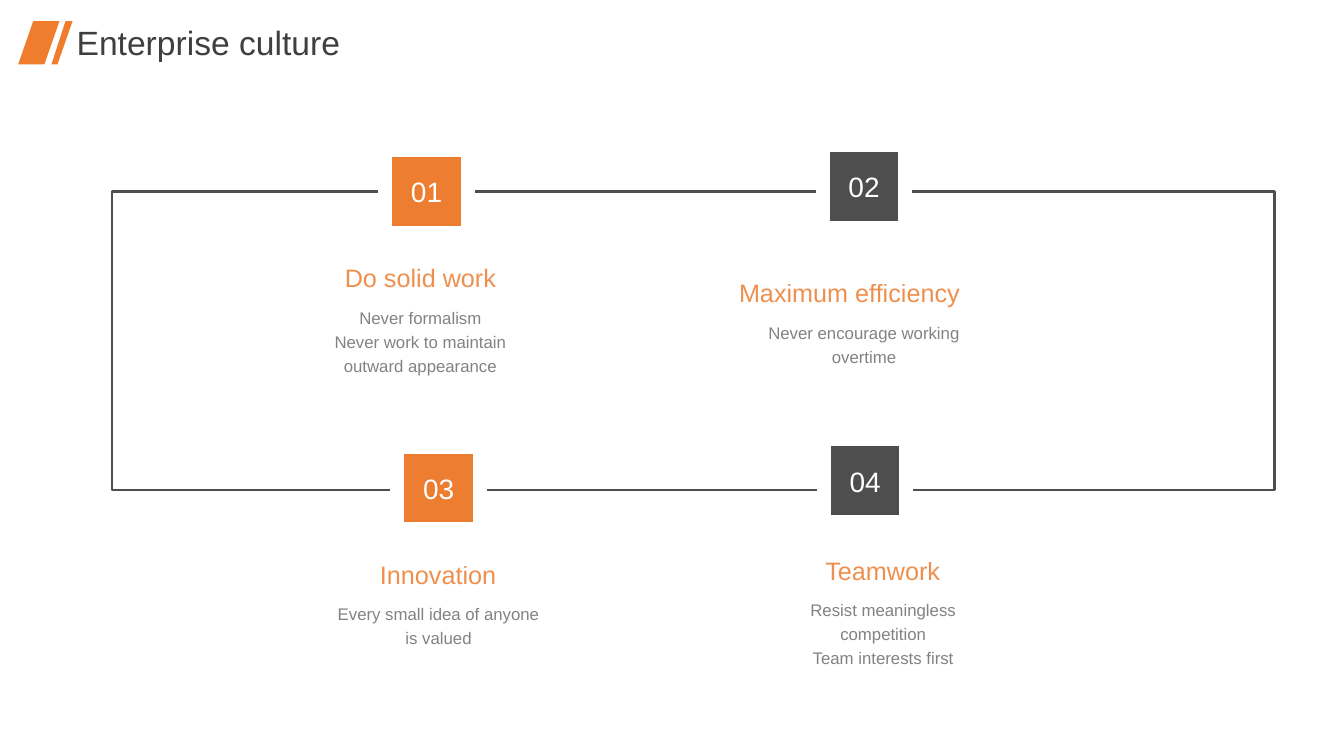
import pptx
import pptx.util
import pptx.dml.color
import pptx.enum.shapes
import pptx.enum.text
from lxml import etree

PX = 9144  # 100 px to the inch
COLORS = {"slash": "F07D2D", "orange": "ED7D31", "dark": "4E4E4E",
          "title": "3F3F3F", "body": "828282", "white": "FFFFFF"}
FONT = "Arial"
TITLE = ("Enterprise culture", (66, 17, 284, 50))
SLASHES = [
    [(33, 21), (59, 21), (44, 64), (18, 64)],
    [(65, 21), (72, 21), (57, 64), (51, 64)],
]
FRAME = (111, 190, 1153, 296)
BADGE = 82
HEADING_HEIGHT, BODY_WIDTH = 40, 234
# number, badge colour, badge corner, heading, heading left/top/width, body lines, body left/top/height
VALUES = [
    ("01", "orange", (382, 149), "Do solid work", (331, 255, 172),
     ["Never formalism", "Never work to maintain outward appearance"], (300, 296, 105)),
    ("02", "dark", (816, 144), "Maximum efficiency", (722, 270, 241),
     ["Never encourage working", "overtime"], (740, 311, 81)),
    ("03", "orange", (394, 443), "Innovation", (366, 550, 137),
     ["Every small idea of anyone is valued"], (318, 590, 56)),
    ("04", "dark", (817, 436), "Teamwork", (808, 546, 135),
     ["Resist meaningless competition", "Team interests first"], (759, 586, 105)),
]

PP_ALIGN = pptx.enum.text.PP_ALIGN
ANCHOR = pptx.enum.text.MSO_ANCHOR
RECTANGLE = pptx.enum.shapes.MSO_SHAPE.RECTANGLE


def rgb(name):
    return pptx.dml.color.RGBColor.from_string(COLORS[name])


def emu(box):
    return [length * PX for length in box]


def write(shape, lines, size, color, align=PP_ALIGN.CENTER, spacing=None, **frame_format):
    frame = shape.text_frame
    for attribute, value in frame_format.items():
        setattr(frame, attribute, value)
    frame.text = "\n".join(lines)
    for paragraph in frame.paragraphs:
        paragraph.alignment = align
        if spacing:
            paragraph.line_spacing = spacing
        font = paragraph.runs[0].font
        font.name, font.size = FONT, pptx.util.Pt(size)
        font.color.rgb = rgb(color)


def paint(shape, fill=None, line=None, width=0):
    shape.shadow.inherit = False
    if fill:
        shape.fill.solid()
        shape.fill.fore_color.rgb = rgb(fill)
    else:
        shape.fill.background()
    if line:
        shape.line.color.rgb = rgb(line)
        shape.line.width = pptx.util.Pt(width)
    else:
        shape.line.fill.background()


def make_translucent(shape, percent):
    """Set the opacity of the text in the shape."""
    for color in shape.text_frame._txBody.iter("{*}srgbClr"):
        alpha = etree.SubElement(color, pptx.oxml.ns.qn("a:alpha"))
        alpha.set("val", str(percent * 1000))


def add_value(shapes, number, color, corner, heading, heading_at, lines, body_at):
    badge = shapes.add_shape(RECTANGLE, *emu((*corner, BADGE, BADGE)))
    paint(badge, color, "white", 10)
    write(badge, [number], 20, "white", vertical_anchor=ANCHOR.MIDDLE)

    heading_box = shapes.add_textbox(*emu((*heading_at, HEADING_HEIGHT)))
    write(heading_box, [heading], 18, "orange", word_wrap=False)
    make_translucent(heading_box, 85)

    left, top, height = body_at
    body_box = shapes.add_textbox(*emu((left, top, BODY_WIDTH, height)))
    write(body_box, lines, 12, "body", spacing=1.2, word_wrap=True)


def main():
    deck = pptx.Presentation()
    deck.slide_width, deck.slide_height = emu((1333, 750))
    slide = deck.slides.add_slide(deck.slide_layouts.get_by_name("Title Only"))
    shapes = slide.shapes

    title = shapes.title
    title.left, title.top, title.width, title.height = emu(TITLE[1])
    write(title, [TITLE[0]], 24, "title", PP_ALIGN.LEFT, word_wrap=False,
          vertical_anchor=ANCHOR.MIDDLE, auto_size=pptx.enum.text.MSO_AUTO_SIZE.NONE)

    for corners in SLASHES:
        outline = shapes.build_freeform(*corners[0], scale=PX)
        outline.add_line_segments(corners[1:], close=True)
        paint(outline.convert_to_shape(), "slash")

    paint(shapes.add_shape(RECTANGLE, *emu(FRAME)), line="dark", width=1.75)
    for value in VALUES:
        add_value(shapes, *value)
    deck.save("out.pptx")


if __name__ == "__main__":
    main()
